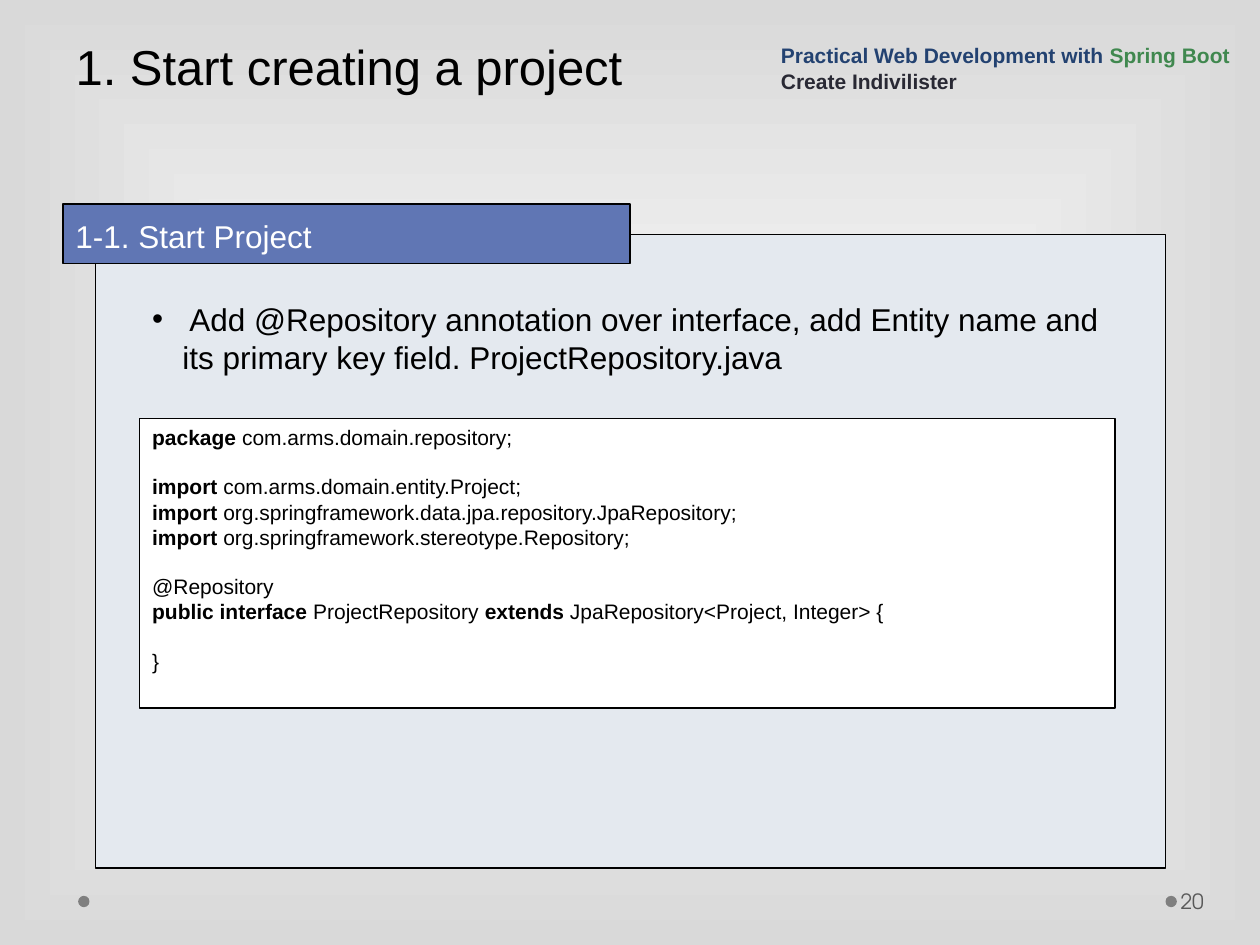
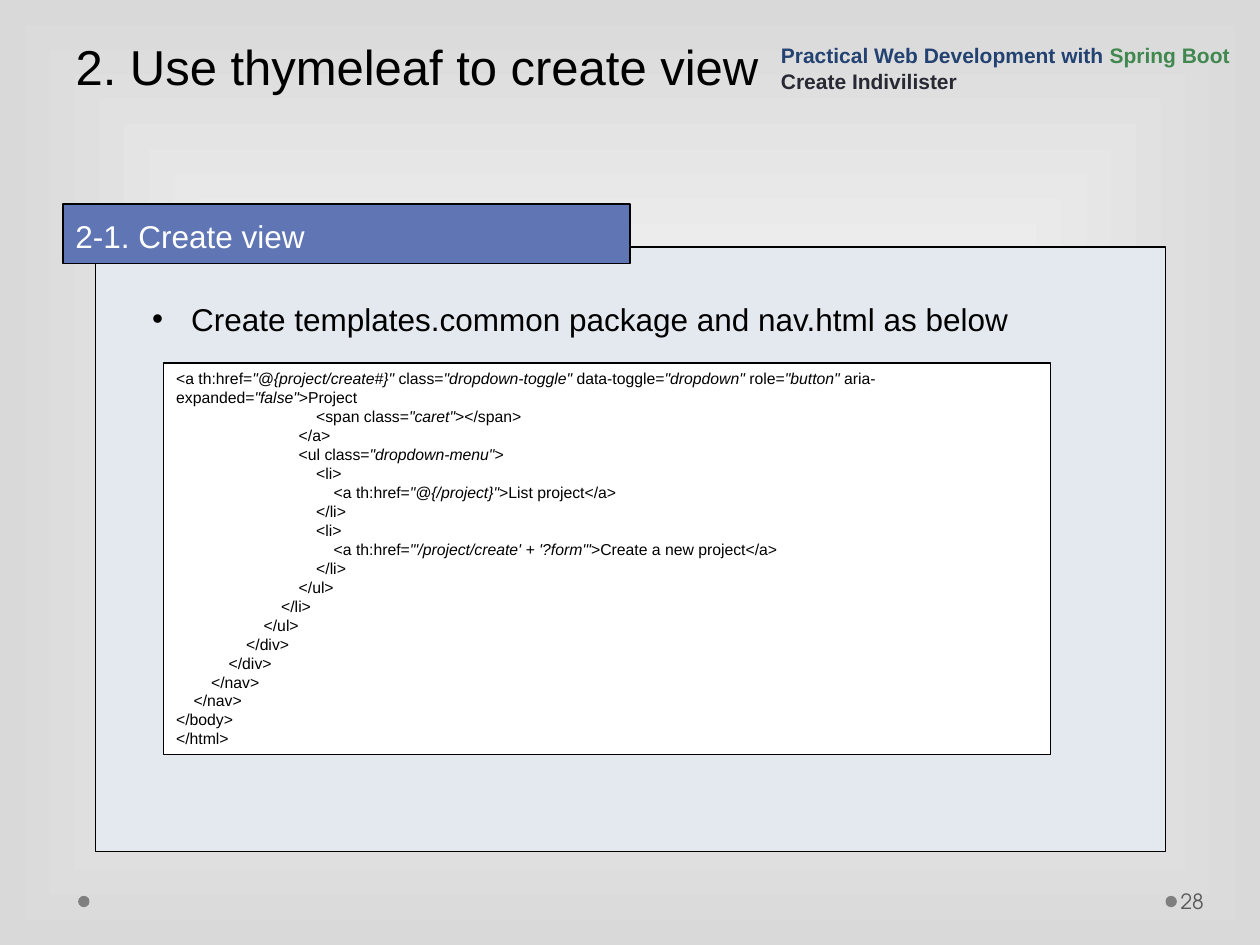
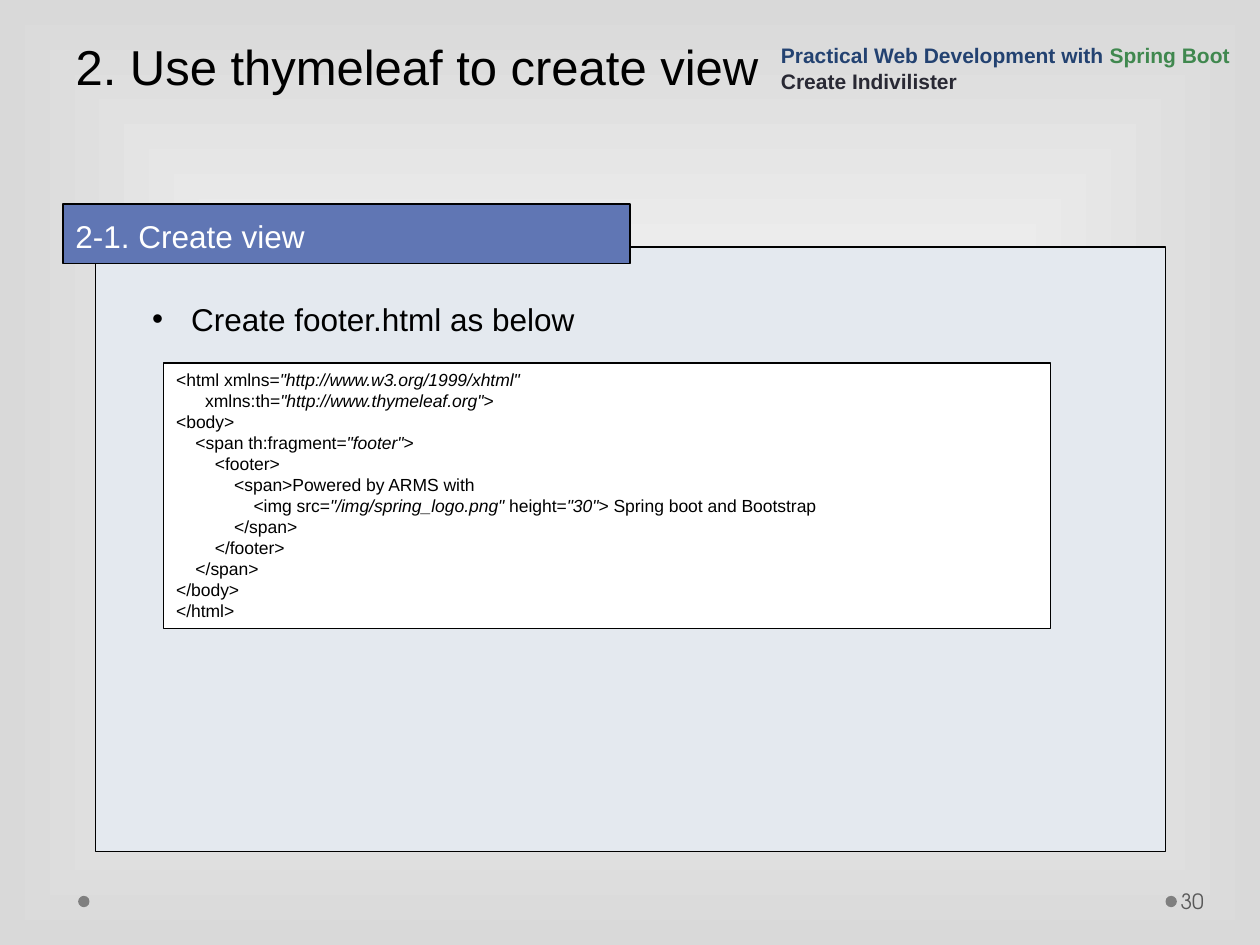
from lxml import etree
from pptx import Presentation
from pptx.dml.color import RGBColor
from pptx.enum.shapes import MSO_SHAPE
from pptx.enum.text import MSO_ANCHOR, MSO_AUTO_SIZE, PP_ALIGN
from pptx.oxml.ns import qn
from pptx.util import Inches, Pt

RECTANGLE = MSO_SHAPE.RECTANGLE
OVAL = MSO_SHAPE.OVAL
TOP = MSO_ANCHOR.TOP
MIDDLE = MSO_ANCHOR.MIDDLE
BOTTOM = MSO_ANCHOR.BOTTOM
LEFT = PP_ALIGN.LEFT
NO_AUTOFIT = MSO_AUTO_SIZE.NONE

BLACK = RGBColor(0x00, 0x00, 0x00)
WHITE = RGBColor(0xFF, 0xFF, 0xFF)
EDGE_GRAY = RGBColor(0xD9, 0xD9, 0xD9)
DOT_GRAY = RGBColor(0x7F, 0x7F, 0x7F)
NUMBER_GRAY = RGBColor(0x59, 0x59, 0x59)
PANEL_BLUE = RGBColor(0xE4, 0xE9, 0xEF)
BAND_BLUE = RGBColor(0x60, 0x76, 0xB4)
COURSE_BLUE = RGBColor(0x23, 0x42, 0x71)
COURSE_GREEN = RGBColor(0x40, 0x88, 0x4F)
COURSE_DARK = RGBColor(0x29, 0x29, 0x34)

MAIN_FONT = "Arial"
NUMBER_FONT = "TeX Gyre Adventor"
TITLE_LINE = Pt(58)
LINE_HEIGHT = 1.15  # of the font size

# Backticks enclose the emphasised parts of the code.
REPOSITORY_CODE = """\
`package` com.arms.domain.repository;

`import` com.arms.domain.entity.Project;
`import` org.springframework.data.jpa.repository.JpaRepository;
`import` org.springframework.stereotype.Repository;

@Repository
`public interface` ProjectRepository `extends` JpaRepository<Project, Integer> {

}"""

NAVIGATION_CODE = """\
<a th:href=`"@{project/create#}"` class=`"dropdown-toggle"` data-toggle=`"dropdown"` role=`"button"` aria-expanded=`"false"`>Project
                                <span class=`"caret"`></span>
                            </a>
                            <ul class=`"dropdown-menu"`>
                                <li>
                                    <a th:href=`"@{/project}"`>List project</a>
                                </li>
                                <li>
                                    <a th:href=`"'/project/create' + '?form'"`>Create a new project</a>
                                </li>
                            </ul>
                        </li>
                    </ul>
                </div>
            </div>
        </nav>
    </nav>
</body>
</html>"""

FOOTER_CODE = """\
<html xmlns=`"http://www.w3.org/1999/xhtml"`
      xmlns:th=`"http://www.thymeleaf.org"`>
<body>
    <span th:fragment=`"footer"`>
        <footer>
            <span>Powered by ARMS with
                <img src=`"/img/spring_logo.png"` height=`"30"`> Spring boot and Bootstrap
            </span>
        </footer>
    </span>
</body>
</html>"""


class Deck:
    def __init__(self):
        self.presentation = Presentation()
        self.presentation.slide_width = Inches(10)
        self.presentation.slide_height = Inches(7.5)
        self.slide = None
        self.set_background()

    def set_background(self):
        """Give the master a gradient that spreads from the centre."""
        master = self.presentation.slide_master
        fill = master.background.fill
        fill.gradient()
        for stop, color in zip(fill.gradient_stops, (WHITE, EDGE_GRAY)):
            stop.color.rgb = color
        linear = master.element.find(".//" + qn("a:lin"))
        spread = etree.Element(qn("a:path"), path="rect")
        etree.SubElement(spread, qn("a:fillToRect"),
                         l="50000", t="50000", r="50000", b="50000")
        linear.getparent().replace(linear, spread)

    def start_slide(self, title, number):
        layout = self.presentation.slide_layouts[5]
        self.slide = self.presentation.slides.add_slide(layout)
        for left in (0.62, 9.25):
            self.shape(left, 7.11, 0.09, 0.09, DOT_GRAY, kind=OVAL)
        self.page_number(number)
        self.title(title)
        self.course_name()

    def shape(self, left, top, width, height, fill, line=None, kind=RECTANGLE):
        shape = self.slide.shapes.add_shape(
            kind, Inches(left), Inches(top), Inches(width), Inches(height))
        shape.shadow.inherit = False
        shape.fill.solid()
        shape.fill.fore_color.rgb = fill
        if line is None:
            shape.line.fill.background()
        else:
            shape.line.color.rgb = line
            shape.line.width = Pt(0.75)
        return shape

    def text_frame(self, left, top, width, height, anchor=TOP):
        box = self.slide.shapes.add_textbox(
            Inches(left), Inches(top), Inches(width), Inches(height))
        return self.prepare(box.text_frame, anchor)

    def prepare(self, frame, anchor):
        frame.word_wrap = True
        frame.auto_size = NO_AUTOFIT
        frame.vertical_anchor = anchor
        return frame

    def style(self, paragraph, size, color=BLACK, name=MAIN_FONT, bold=False):
        paragraph.alignment = LEFT
        font = paragraph.font
        font.name = name
        font.size = Pt(size)
        font.bold = bold
        font.color.rgb = color

    def title(self, text):
        """Set the title one title line above the bottom of its box."""
        title = self.slide.shapes.title
        title.left, title.top = Inches(0.5), Inches(0)
        title.width, title.height = Inches(9), Inches(1.61)
        frame = self.prepare(title.text_frame, BOTTOM)
        frame.margin_bottom = Inches(0.05) + TITLE_LINE
        paragraph = frame.paragraphs[0]
        paragraph.text = text
        paragraph.line_spacing = TITLE_LINE
        self.style(paragraph, 28)

    def course_name(self):
        frame = self.text_frame(6.1, 0.24, 3.9, 0.55, BOTTOM)
        course = frame.paragraphs[0]
        course.text = "Practical Web Development with "
        framework = course.add_run()
        framework.text = "Spring Boot"
        framework.font.color.rgb = COURSE_GREEN
        self.style(course, 12, COURSE_BLUE, bold=True)
        chapter = frame.add_paragraph()
        chapter.text = "Create Indivilister"
        self.style(chapter, 12, COURSE_DARK, bold=True)

    def page_number(self, number):
        frame = self.text_frame(9.34, 6.95, 0.61, 0.4, MIDDLE)
        frame.margin_left = Inches(0.03)
        frame.margin_right = Inches(0.05)
        paragraph = frame.paragraphs[0]
        paragraph.text = str(number)
        self.style(paragraph, 12, NUMBER_GRAY, NUMBER_FONT)

    def panel(self, top, height, heading):
        """Draw the content panel with its heading band on the top edge."""
        self.shape(0.76, top, 8.49, height, PANEL_BLUE, BLACK)
        band = self.shape(0.5, 1.62, 4.5, 0.47, BAND_BLUE, BLACK)
        paragraph = self.prepare(band.text_frame, MIDDLE).paragraphs[0]
        paragraph.text = heading
        paragraph.line_spacing = 1.1
        self.style(paragraph, 18, WHITE)

    def bullet(self, text, height):
        paragraph = self.text_frame(1.11, 2.33, 7.74, height).paragraphs[0]
        paragraph.text = text
        properties = paragraph._p.get_or_add_pPr()
        indent = Inches(0.24)
        properties.set("marL", str(indent))
        properties.set("indent", str(-indent))
        etree.SubElement(properties, qn("a:buFont"), typeface=MAIN_FONT)
        etree.SubElement(properties, qn("a:buChar"), char="•")
        self.style(paragraph, 18)

    def code(self, text, left, top, width, height, size, emphasis="italic"):
        """Write code; emphasis names the font attribute of marked parts."""
        box = self.shape(left, top, width, height, WHITE, BLACK)
        frame = self.prepare(box.text_frame, TOP)
        paragraph = frame.paragraphs[0]
        gap = 0
        for index, line in enumerate(text.split("\n")):
            if not line:
                gap = size * LINE_HEIGHT
                continue
            if index:
                paragraph = frame.add_paragraph()
            if gap:
                paragraph.space_before = Pt(gap)
                gap = 0
            for position, part in enumerate(line.split("`")):
                if part:
                    run = paragraph.add_run()
                    run.text = part
                    if position % 2:
                        setattr(run.font, emphasis, True)
            self.style(paragraph, size)


def main():
    deck = Deck()

    deck.start_slide("1. Start creating a project", 20)
    deck.panel(1.86, 5.03, "1-1. Start Project")
    deck.bullet(" Add @Repository annotation over interface, add Entity name "
                "and its primary key field. ProjectRepository.java", 0.7)
    deck.code(REPOSITORY_CODE, 1.11, 3.32, 7.74, 2.3, 12, emphasis="bold")

    view_slides = (
        (28, " Create templates.common package and nav.html as below",
         NAVIGATION_CODE, 3.11, 9),
        (30, " Create footer.html as below", FOOTER_CODE, 2.11, 10),
    )
    for number, task, code, code_height, code_size in view_slides:
        deck.start_slide("2. Use thymeleaf to create view", number)
        deck.panel(1.96, 4.8, "2-1. Create view")
        deck.bullet(task, 0.4)
        deck.code(code, 1.3, 2.88, 7.04, code_height, code_size)

    deck.presentation.save("out.pptx")


if __name__ == "__main__":
    main()
